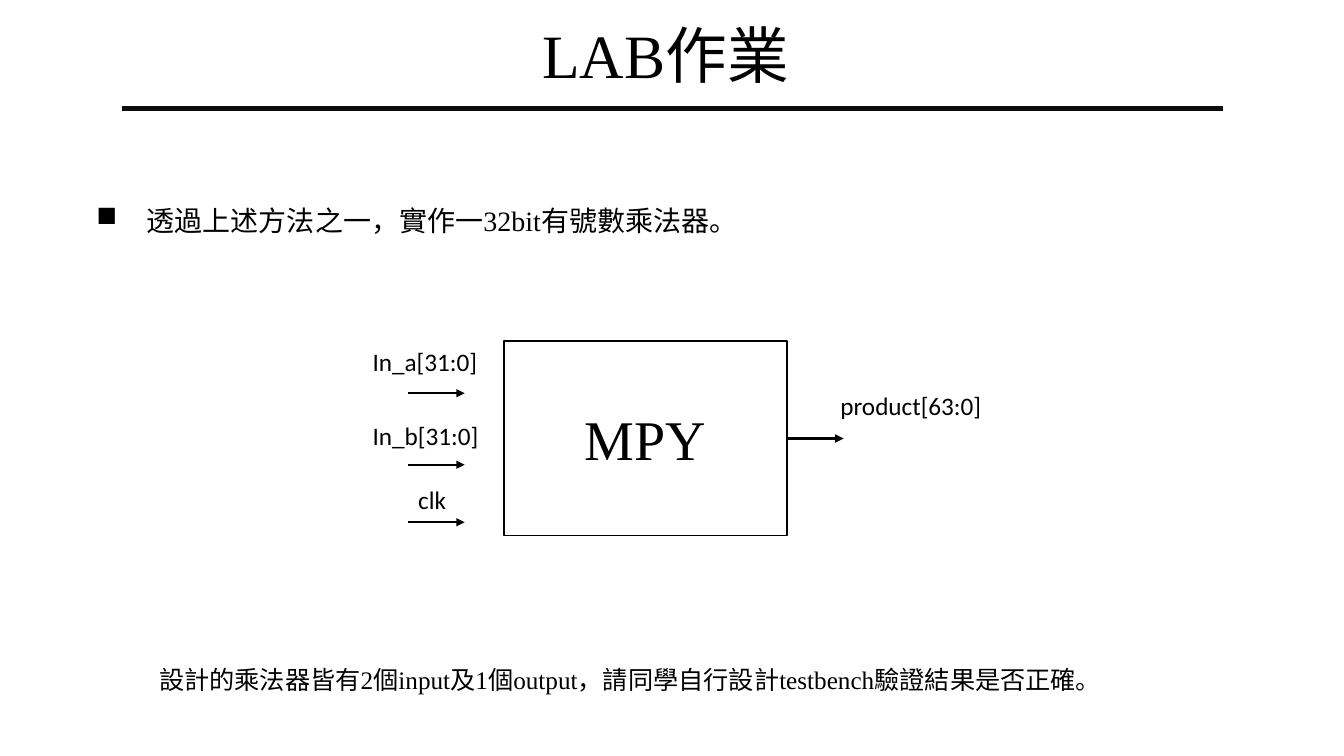
from lxml import etree
from pptx import Presentation
from pptx.dml.color import RGBColor
from pptx.enum.shapes import MSO_CONNECTOR, MSO_SHAPE
from pptx.enum.text import MSO_ANCHOR, MSO_AUTO_SIZE, PP_ALIGN
from pptx.oxml.ns import qn
from pptx.util import Cm, Pt

BLACK = "000000"
SERIF = "Times New Roman"


def write(shape, text, color=BLACK, wrap=True, anchor=MSO_ANCHOR.TOP,
          align=PP_ALIGN.LEFT, **font_values):
    """Fill a shape with one formatted paragraph and return the paragraph."""
    frame = shape.text_frame
    frame.auto_size = MSO_AUTO_SIZE.NONE
    frame.word_wrap = wrap
    frame.vertical_anchor = anchor
    paragraph = frame.paragraphs[0]
    paragraph.alignment = align
    run = paragraph.add_run()
    run.text = text
    run.font.color.rgb = RGBColor.from_string(color)
    for name, value in font_values.items():
        setattr(run.font, name, value)
    return paragraph


def draw_line(left, right, y, width, color=BLACK, arrow=False):
    line = slide.shapes.add_connector(
        MSO_CONNECTOR.STRAIGHT, Cm(left), Cm(y), Cm(right), Cm(y))
    line.line.color.rgb = RGBColor.from_string(color)
    line.line.width = Pt(width)
    if arrow:
        etree.SubElement(line.line._get_or_add_ln(), qn("a:tailEnd"), type="triangle")
    etree.SubElement(line._element.spPr, qn("a:effectLst"))


presentation = Presentation()
presentation.slide_width = Cm(33.87)
presentation.slide_height = Cm(19.05)
slide = presentation.slides.add_slide(presentation.slide_layouts[5])

# Title and rule
title = slide.shapes.title
title_box = {"left": 2.34, "top": 0.41, "width": 29.21, "height": 2.03}
for side, length in title_box.items():
    setattr(title, side, Cm(length))
paragraph = write(title, "LAB作業 ", anchor=MSO_ANCHOR.BOTTOM,
                  align=PP_ALIGN.CENTER, size=Pt(44), name=SERIF)
paragraph.line_spacing = 0.9
draw_line(3.07, 30.81, 2.74, 3.75, color="0C0C0C")

# Task with square bullet
task = slide.shapes.add_textbox(Cm(2.18), Cm(5), Cm(29.49), Cm(1.96))
paragraph = write(task, "透過上述方法之一，實作一32bit有號數乘法器。", size=Pt(20), name=SERIF)
properties = paragraph._p.get_or_add_pPr()
properties.set("marL", str(Cm(1.27)))
properties.set("indent", str(-Cm(1.27)))
bullet_color = etree.SubElement(properties, qn("a:buClr"))
etree.SubElement(bullet_color, qn("a:srgbClr"), val=BLACK)
etree.SubElement(properties, qn("a:buChar"), char="■")

# Multiplier block
block = slide.shapes.add_shape(
    MSO_SHAPE.RECTANGLE, Cm(12.7), Cm(8.59), Cm(7.14), Cm(4.9))
block.shadow.inherit = False
block.fill.solid()
block.fill.fore_color.rgb = RGBColor.from_string("FFFFFF")
block.line.color.rgb = RGBColor.from_string(BLACK)
block.line.width = Pt(1)
write(block, "MPY", anchor=MSO_ANCHOR.MIDDLE, align=PP_ALIGN.CENTER,
      size=Pt(40), name=SERIF)

# Ports: label, label left, top and width, arrow left and height
ports = [
    ("In_a[31:0]", 9.14, 8.59, 3.18, 10.29, 9.91),
    ("In_b[31:0]", 9.14, 10.46, 3.2, 10.29, 11.71),
    ("clk", 10.29, 12.09, 1.22, 10.29, 13.16),
    ("product[63:0]", 20.93, 9.7, 4.11, 19.84, 11.05),
]
for name, left, top, width, arrow_left, arrow_y in ports:
    label = slide.shapes.add_textbox(Cm(left), Cm(top), Cm(width), Cm(1.02))
    write(label, name, wrap=False, size=Pt(18), name="Calibri")
    draw_line(arrow_left, arrow_left + 1.42, arrow_y, 1.5, arrow=True)

# Closing note
note = slide.shapes.add_textbox(Cm(3.76), Cm(16.61), Cm(26.24), Cm(1.02))
write(note, "設計的乘法器皆有2個input及1個output，請同學自行設計testbench驗證結果是否正確。",
      size=Pt(18), name=SERIF)

presentation.save("out.pptx")
